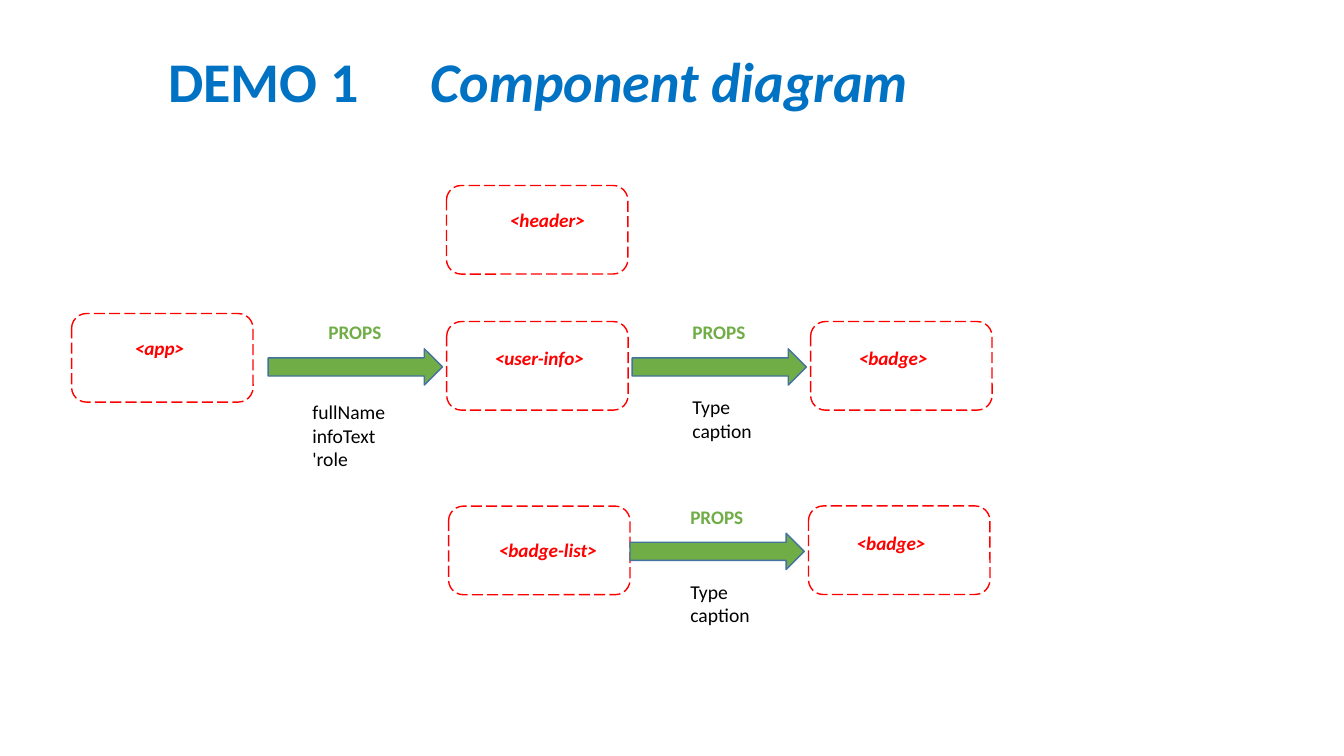
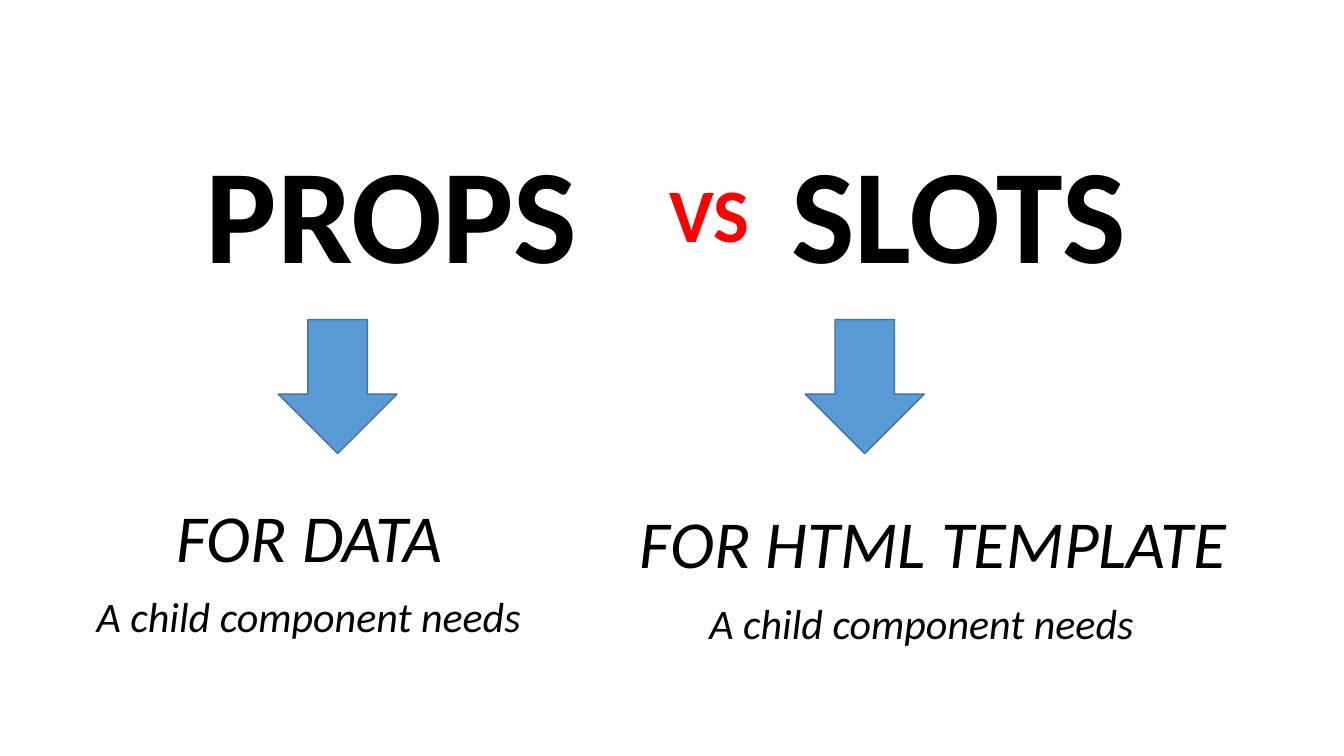
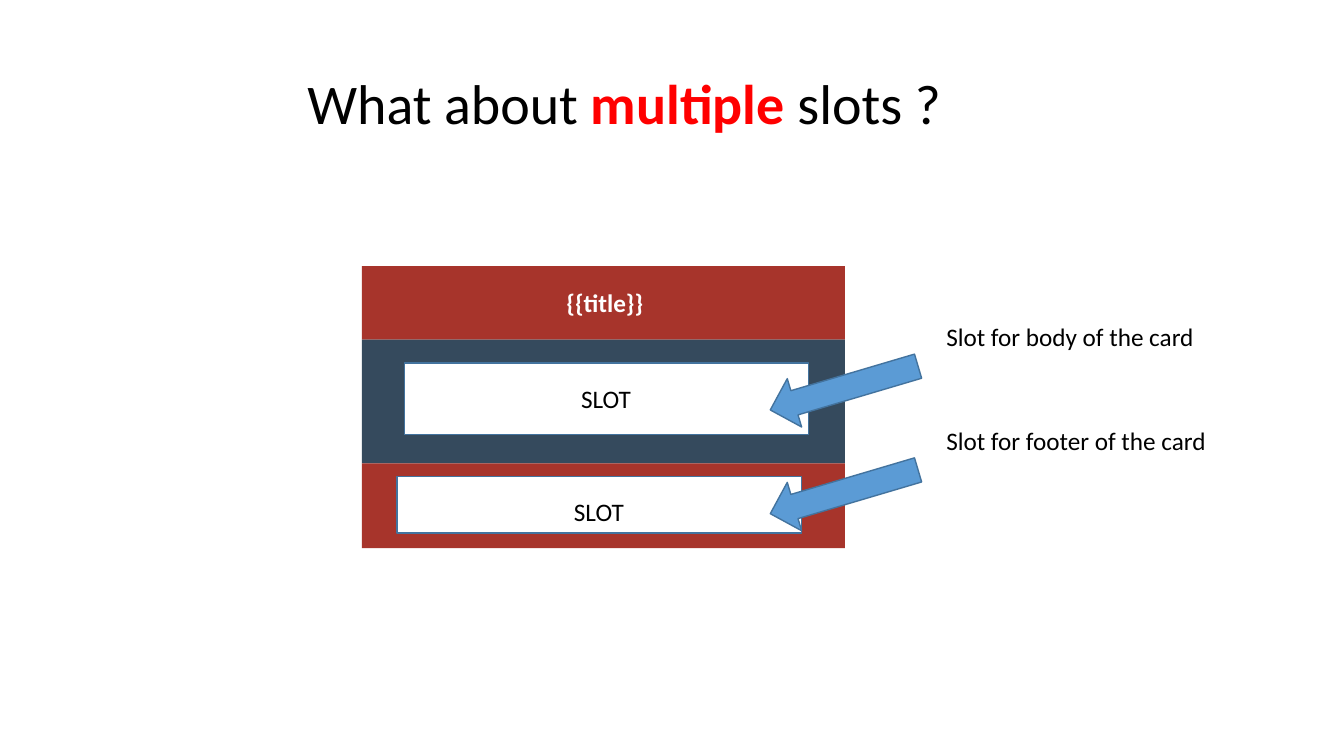
"""Build three slides about component props and slots."""
import pptx
import pptx.dml.color
import pptx.enum.dml
import pptx.enum.shapes
import pptx.enum.text
import pptx.util

SHAPE = pptx.enum.shapes.MSO_SHAPE
FONT = "Calibri"
BLACK, WHITE, RED, BLUE = "000000", "FFFFFF", "FF0000", "0072C3"
GREEN, SKY, EDGE = "70AD47", "5B9BD5", "43739E"
BRICK, NAVY = "A7342B", "354A5D"
COLUMNS, ROWS = 64, 36
BOX_SIZE = (8.64, 4.22)
LABEL = dict(size=13.7, color=RED, bold=True, italic=True)

deck = pptx.Presentation()
deck.slide_width = pptx.util.Inches(13.33)
deck.slide_height = pptx.util.Inches(7.5)
column = deck.slide_width / COLUMNS
row = deck.slide_height / ROWS
title_only = deck.slide_layouts.get_by_name("Title Only")


def draw(page, kind, cell, fill=None, line=None, dash=None, turn=0):
    left, top, width, height = cell
    box = page.shapes.add_shape(kind, int(left * column), int(top * row),
                                int(width * column), int(height * row))
    box.shadow.inherit = False
    box.rotation = turn
    for surface, color in ((box.fill, fill), (box.line.fill, line)):
        if color:
            surface.solid()
            surface.fore_color.rgb = pptx.dml.color.RGBColor.from_string(color)
        else:
            surface.background()
    if line:
        box.line.width = pptx.util.Pt(1)
        box.line.dash_style = dash
    return box


def write(page, text, cell, size=18, color=BLACK, bold=False, italic=False,
          wrap=False, title=False, accent=None):
    left, top, width, height = cell
    box = page.shapes.title if title else page.shapes.add_textbox(0, 0, 0, 0)
    box.left, box.top = int(left * column), int(top * row)
    box.width, box.height = int(width * column), int(height * row)
    frame = box.text_frame
    frame.word_wrap = wrap or title
    frame.auto_size = pptx.enum.text.MSO_AUTO_SIZE.NONE
    frame.vertical_anchor = pptx.enum.text.MSO_ANCHOR.TOP
    for index, words in enumerate(text.split("\n")):
        para = frame.add_paragraph() if index else frame.paragraphs[0]
        para.alignment = pptx.enum.text.PP_ALIGN.LEFT
        para.line_spacing = 1.0
        for part in words.partition(accent) if accent else [words]:
            span = para.add_run()
            span.text = part
            span.font.name = FONT
            span.font.size = pptx.util.Pt(size)
            span.font.bold = bold or part == accent
            span.font.italic = italic
            span.font.color.rgb = pptx.dml.color.RGBColor.from_string(
                RED if part == accent else color)


page = deck.slides.add_slide(title_only)
write(page, "DEMO 1", (7.54, 1.97, 10.8, 3.7), size=40, color=BLUE, bold=True, title=True)
write(page, "Component diagram", (20.04, 1.97, 32.8, 3.7), size=40, color=BLUE,
      bold=True, italic=True, wrap=True)

components = [
    ("<app>", 3.41, 14.93, 2.54, 0.86, 3.36),
    ("<header>", 21.26, 8.83, 2.55, 0.87, 4.61),
    ("<badge-list>", 21.36, 24.1, 1.92, 1.29, 5.71),
]
for name, left, top, indent, drop, width in components:
    draw(page, SHAPE.ROUNDED_RECTANGLE, (left, top, *BOX_SIZE), line=RED,
         dash=pptx.enum.dml.MSO_LINE.LONG_DASH)
    write(page, name, (left + indent, top + drop, width, 1.58), **LABEL)

flows = [
    (12.77, 16.61, "<user-info>", 5.33, "fullName\ninfoText\n'role", (1.63, 2.21, 4.46, 4.99)),
    (30.1, 16.61, "<badge>", 4.32, "Type\ncaption", (2.4, 1.97, 3.84, 2.74)),
    (30, 25.39, "<badge>", 4.32, "Type\ncaption", (2.4, 1.97, 3.84, 2.74)),
]
for left, top, name, name_width, props, (indent, drop, width, height) in flows:
    draw(page, SHAPE.ROUNDED_RECTANGLE, (left + 8.5, top - 1.3, *BOX_SIZE), line=RED,
         dash=pptx.enum.dml.MSO_LINE.LONG_DASH)
    draw(page, SHAPE.RIGHT_ARROW, (left, top, 8.3, 1.73), fill=GREEN, line=EDGE)
    write(page, "PROPS", (left + 2.4, top - 1.58, 3.5, 1.58), size=13.7, color=GREEN, bold=True)
    write(page, name, (left + 10.32, top - 0.34, name_width, 1.58), **LABEL)
    write(page, props, (left + indent, top + drop, width, height), size=14)

page = deck.slides.add_slide(title_only)
write(page, "VS", (31.39, 7.73, 4.8, 4.85), size=54, color=RED, bold=True)
sides = [
    ("PROPS", 9.31, 13.25, "FOR DATA", 7.92, 13.78, 4.13, 23.33),
    ("SLOTS", 37.2, 38.35, "FOR HTML TEMPLATE", 30, 29.14, 33.31, 23.66),
]
for name, left, arrow_left, purpose, purpose_left, width, note_left, top in sides:
    write(page, name, (left, 5.9, 24.48, 8.26), size=96, bold=True, wrap=True,
          title=name == "PROPS")
    draw(page, SHAPE.DOWN_ARROW, (arrow_left, 15.22, 5.66, 6.38), fill=SKY, line=EDGE)
    write(page, purpose, (purpose_left, top, width, 4.37), size=48, italic=True)
    write(page, "A child component needs", (note_left, top + 4.56, 21.36, 2.93),
          size=30, italic=True)

page = deck.slides.add_slide(title_only)
write(page, "What about multiple slots ?", (14.16, 3.02, 46, 3.7), size=40, title=True,
      accent="multiple ")
band_top = 12.67
for height, color in ((3.5, BRICK), (5.9, NAVY), (4.03, BRICK)):
    draw(page, SHAPE.RECTANGLE, (17.23, band_top, 23, height), fill=color)
    band_top += height
write(page, "{{title}}", (26.5, 13.44, 4.7, 1.92), color=WHITE, bold=True)

slots = [
    ("body", 19.25, 17.28, 3.41, 0.72, 17.28),
    ("footer", 18.91, 22.7, 2.69, 0.72, 22.22),
]
for part, left, top, height, drop, arrow_top in slots:
    draw(page, SHAPE.RECTANGLE, (left, top, 19.25, height), fill=WHITE, line=EDGE)
    write(page, "SLOT", (left + 7.95, top + drop, 3.36, 1.92))
    draw(page, SHAPE.LEFT_ARROW, (36.53, arrow_top, 7.34, 2.4), fill=SKY, line=EDGE, turn=343.5)
    write(page, f"Slot for {part} of the card", (44.59, arrow_top - 2.2, 13.5, 1.92))

deck.save("out.pptx")
